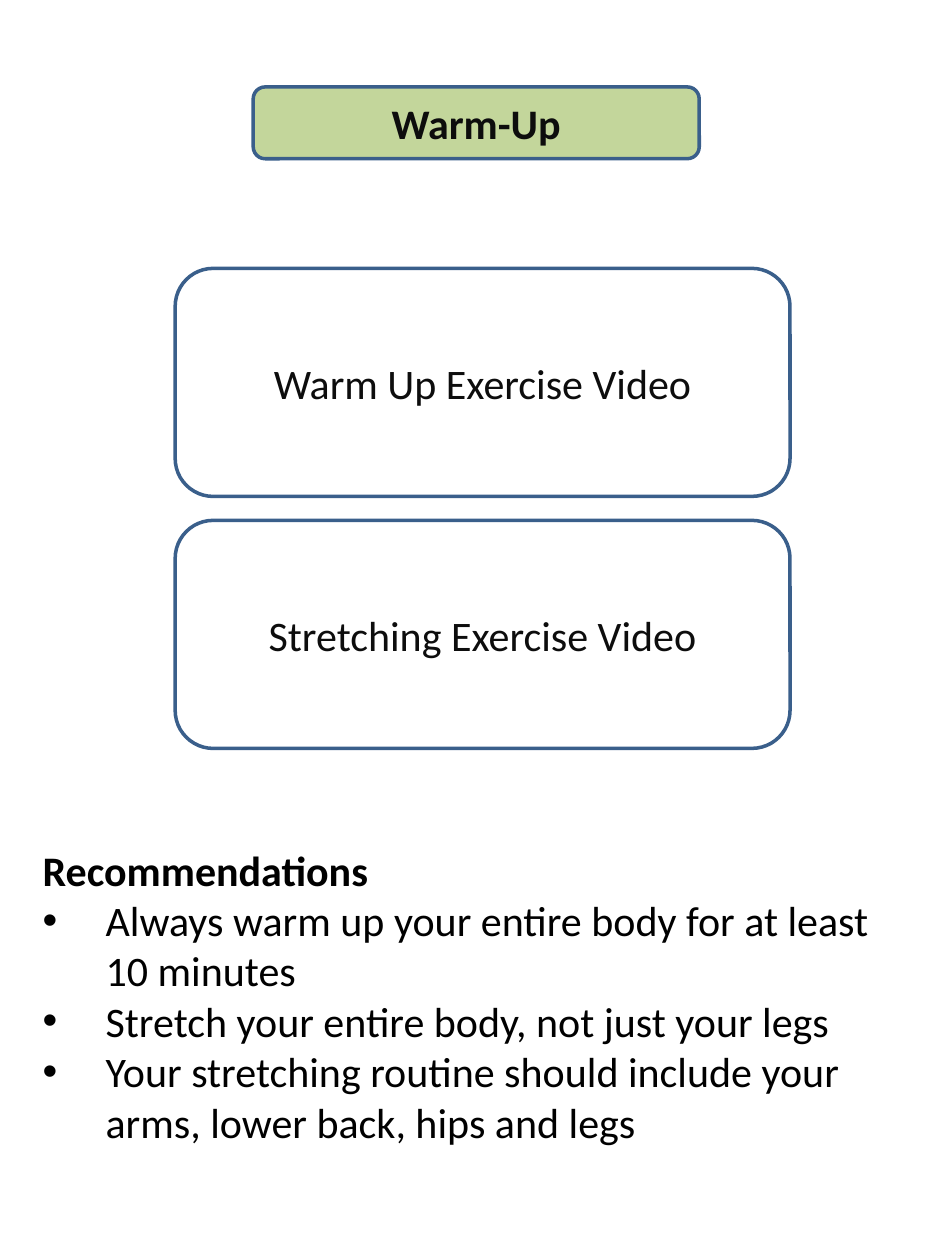
from lxml import etree
from pptx import Presentation
from pptx import util as u
from pptx.dml.color import RGBColor
from pptx.enum import shapes, text
from pptx.oxml import ns

TITLE = "Warm-Up"
VIDEOS = ["Warm Up Exercise Video", "Stretching Exercise Video"]
HEADING = "Recommendations"
RECOMMENDATIONS = [
    "Always warm up your entire body for at least 10 minutes",
    "Stretch your entire body, not just your legs",
    "Your stretching routine should include your arms, lower back, hips and legs",
]

COLOURS = {"outline": "3A5F8B", "title": "C3D69B", "label": "0D0D0D", "body": "000000"}
FONT, FONT_SIZE = "Calibri", 24

WIDTH, HEIGHT = 7.5, 10
TITLE_BOX = (2.01, 0.69, 3.54, 0.57)
VIDEO_LEFT, VIDEO_TOP, VIDEO_WIDTH, VIDEO_HEIGHT = 1.39, 2.13, 4.88, 1.81
VIDEO_PITCH = HEIGHT / 5
ADVICE_BOX = (0.24, 6.65, 7.09, 2.5)
BULLET_INDENT = 0.5


def colour(name):
    return RGBColor.from_string(COLOURS[name])


def write(paragraph, content, *, fill="body", bold=False, align=None):
    paragraph.alignment = align
    run = paragraph.add_run()
    run.text = content
    run.font.name = FONT
    run.font.size = u.Pt(FONT_SIZE)
    run.font.bold = bold
    run.font.color.rgb = colour(fill)


def add_bullet(paragraph):
    properties = paragraph._p.get_or_add_pPr()
    properties.set("marL", str(u.Inches(BULLET_INDENT)))
    properties.set("indent", str(-u.Inches(BULLET_INDENT)))
    etree.SubElement(properties, ns.qn("a:buFont")).set("typeface", "Arial")
    etree.SubElement(properties, ns.qn("a:buChar")).set("char", "•")


def add_box(slide, box, label, fill=None, bold=False):
    shape = slide.shapes.add_shape(
        shapes.MSO_SHAPE.ROUNDED_RECTANGLE, *map(u.Inches, box))
    shape.shadow.inherit = False
    if fill:
        shape.fill.solid()
        shape.fill.fore_color.rgb = colour(fill)
    else:
        shape.fill.background()
    shape.line.color.rgb = colour("outline")
    shape.line.width = u.Pt(2)
    shape.text_frame.word_wrap = True
    shape.text_frame.vertical_anchor = text.MSO_ANCHOR.MIDDLE
    write(shape.text_frame.paragraphs[0], label, fill="label", bold=bold,
          align=text.PP_ALIGN.CENTER)


def add_advice(slide):
    frame = slide.shapes.add_textbox(*map(u.Inches, ADVICE_BOX)).text_frame
    frame.word_wrap = True
    frame.auto_size = text.MSO_AUTO_SIZE.SHAPE_TO_FIT_TEXT
    write(frame.paragraphs[0], HEADING, bold=True)
    for recommendation in RECOMMENDATIONS:
        paragraph = frame.add_paragraph()
        write(paragraph, recommendation)
        add_bullet(paragraph)


def main():
    presentation = Presentation()
    presentation.slide_width = u.Inches(WIDTH)
    presentation.slide_height = u.Inches(HEIGHT)
    slide = presentation.slides.add_slide(presentation.slide_layouts[6])
    add_advice(slide)
    for row, label in enumerate(VIDEOS):
        top = VIDEO_TOP + row * VIDEO_PITCH
        add_box(slide, (VIDEO_LEFT, top, VIDEO_WIDTH, VIDEO_HEIGHT), label)
    add_box(slide, TITLE_BOX, TITLE, fill="title", bold=True)
    presentation.save("out.pptx")


if __name__ == "__main__":
    main()
